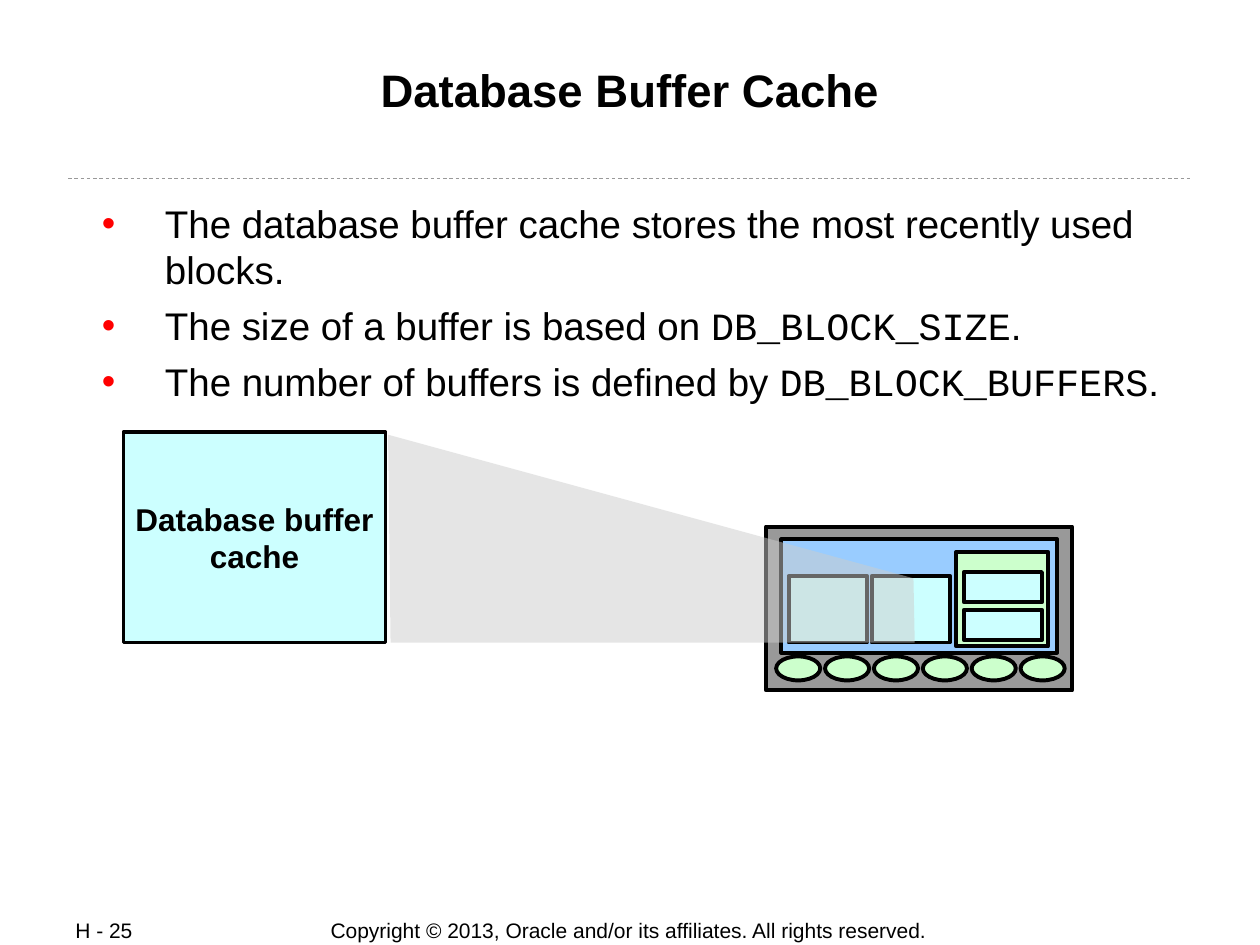
from dataclasses import dataclass

import pptx
import pptx.dml.color
import pptx.enum.dml
import pptx.enum.shapes
import pptx.enum.text
import pptx.oxml
import pptx.oxml.ns
import pptx.util
from pptx.util import Inches

SHAPE = pptx.enum.shapes.MSO_SHAPE
ALIGN = pptx.enum.text.PP_ALIGN
ANCHOR = pptx.enum.text.MSO_ANCHOR
NS = pptx.oxml.ns.nsdecls("a")
BLACK, GREY, BLUE, CYAN, GREEN = "000000", "999999", "99CCFF", "CCFFFF", "CCFFCC"
MONO = "Courier New"


@dataclass
class Box:
    left: float
    top: float
    width: float
    height: float
    fill: str = CYAN
    kind: SHAPE = SHAPE.RECTANGLE


def color(code: str):
    return pptx.dml.color.RGBColor.from_string(code)


def draw(tree, box: Box):
    """Draw a filled shape with a black outline."""
    shape = tree.add_shape(box.kind, Inches(box.left), Inches(box.top),
                           Inches(box.width), Inches(box.height))
    shape.shadow.inherit = False
    shape.fill.solid()
    shape.fill.fore_color.rgb = color(box.fill)
    shape.line.color.rgb = color(BLACK)
    shape.line.width = pptx.util.Pt(2.25)
    return shape


def area(tree, left: float, top: float, width: float, height: float):
    return tree.add_textbox(Inches(left), Inches(top), Inches(width), Inches(height))


def bullet(para) -> None:
    props = para._p.get_or_add_pPr()
    props.set("marL", str(Inches(0.63)))
    props.set("indent", str(Inches(-0.5)))
    for part in ('<a:buClr {}><a:srgbClr val="FF0000"/></a:buClr>',
                 '<a:buFont {} typeface="Arial"/>', '<a:buChar {} char="•"/>'):
        props.append(pptx.oxml.parse_xml(part.format(NS)))


def write(shape, *paras, size=12, bold=False, align=ALIGN.LEFT, anchor=ANCHOR.TOP,
          wrap=False, inset=(0.1, 0.05), gap=0, dots=False) -> None:
    """Write paragraphs; each is a list of (text, font) runs."""
    frame = shape.text_frame
    frame.word_wrap = wrap
    frame.vertical_anchor = anchor
    frame.margin_left = frame.margin_right = Inches(inset[0])
    frame.margin_top = frame.margin_bottom = Inches(inset[1])
    for i, runs in enumerate(paras):
        para = frame.add_paragraph() if i else frame.paragraphs[0]
        para.alignment = align
        if i:
            para.space_before = pptx.util.Pt(gap)
        if dots:
            bullet(para)
        for text, face in runs:
            for j, line in enumerate(text.split("\n")):
                if j:
                    para.add_line_break()
                run = para.add_run()
                run.text = line
                run.font.name = face
                run.font.size = pptx.util.Pt(size)
                run.font.bold = bold
                run.font.color.rgb = color(BLACK)


def plain(text: str) -> list:
    return [(text, "Arial")]


def rule(tree) -> None:
    """Draw the dashed line under the title."""
    line = tree.add_connector(pptx.enum.shapes.MSO_CONNECTOR.STRAIGHT,
                              Inches(0.54), Inches(1.42), Inches(9.46), Inches(1.42))
    line.line.color.rgb = color(GREY)
    line.line.width = pptx.util.Pt(0.5)
    line.line.dash_style = pptx.enum.dml.MSO_LINE.DASH
    line._element.spPr.append(pptx.oxml.parse_xml(f"<a:effectLst {NS}/>"))


def beam(tree) -> None:
    """Draw the see-through wedge from the large box to the small one."""
    spots = [(Inches(x), Inches(y)) for x, y in
             ((3.1, 5.1), (7.26, 5.1), (7.25, 4.59), (3.08, 3.45))]
    path = tree.build_freeform(*spots[0])
    path.add_line_segments(spots[1:], close=True)
    wedge = path.convert_to_shape()
    wedge.shadow.inherit = False
    wedge.fill.solid()
    wedge.fill.fore_color.rgb = color("CCCCCC")
    wedge.line.fill.background()
    tint = wedge._element.spPr.find(".//" + pptx.oxml.ns.qn("a:srgbClr"))
    tint.append(pptx.oxml.parse_xml(f'<a:alpha {NS} val="50000"/>'))


def main() -> None:
    deck = pptx.Presentation()
    deck.slide_width, deck.slide_height = Inches(10), Inches(7.5)
    tree = deck.slides.add_slide(deck.slide_layouts[6]).shapes

    # Footer and rule
    write(area(tree, 2.44, 7.28, 5.1, 0.21),
          plain("Copyright © 2013, Oracle and/or its affiliates. All rights reserved."),
          align=ALIGN.CENTER, anchor=ANCHOR.MIDDLE)
    write(area(tree, 0.5, 7.28, 1.06, 0.2), plain("H - 25"),
          align=ALIGN.JUSTIFY, anchor=ANCHOR.MIDDLE)
    rule(tree)

    # Instance: memory areas above a row of processes
    group = tree.add_group_shape().shapes
    parts = [Box(6.08, 4.18, 2.43, 1.3, GREY), Box(6.2, 4.28, 2.19, 0.9, BLUE)]
    parts += [Box(x, 4.57, 0.62, 0.53) for x in (6.92, 6.26)]
    parts += [Box(7.59, 4.38, 0.73, 0.75, GREEN)]
    parts += [Box(7.65, y, 0.62, 0.24) for y in (4.84, 4.54)]
    parts += [Box(6.16 + 1.94 / 5 * i, 5.21, 0.35, 0.19, GREEN, SHAPE.OVAL)
              for i in range(6)]
    for part in parts:
        draw(group, part)

    # Title and bullets
    write(area(tree, 0.67, 0.48, 8.66, 0.96), plain("Database Buffer Cache"),
          size=26, bold=True, align=ALIGN.CENTER, wrap=True, inset=(0.01, 0.01))
    write(area(tree, 0.67, 1.58, 8.66, 1.65),
          plain("The database buffer cache stores the most recently used blocks."),
          [("The size of a buffer is based on ", "Arial"),
           ("DB_BLOCK_SIZE", MONO), (".", "Arial")],
          [("The number of buffers is defined by ", "Arial"),
           ("DB_BLOCK_BUFFERS", MONO), (".", "Arial")],
          size=22, wrap=True, inset=(0.01, 0.01), gap=5.5, dots=True)

    # Enlarged buffer cache
    cache = draw(tree, Box(0.98, 3.43, 2.08, 1.67))
    write(cache, plain("Database buffer\ncache"), size=18, bold=True,
          align=ALIGN.CENTER, anchor=ANCHOR.MIDDLE)
    beam(tree)

    deck.save("out.pptx")


if __name__ == "__main__":
    main()
